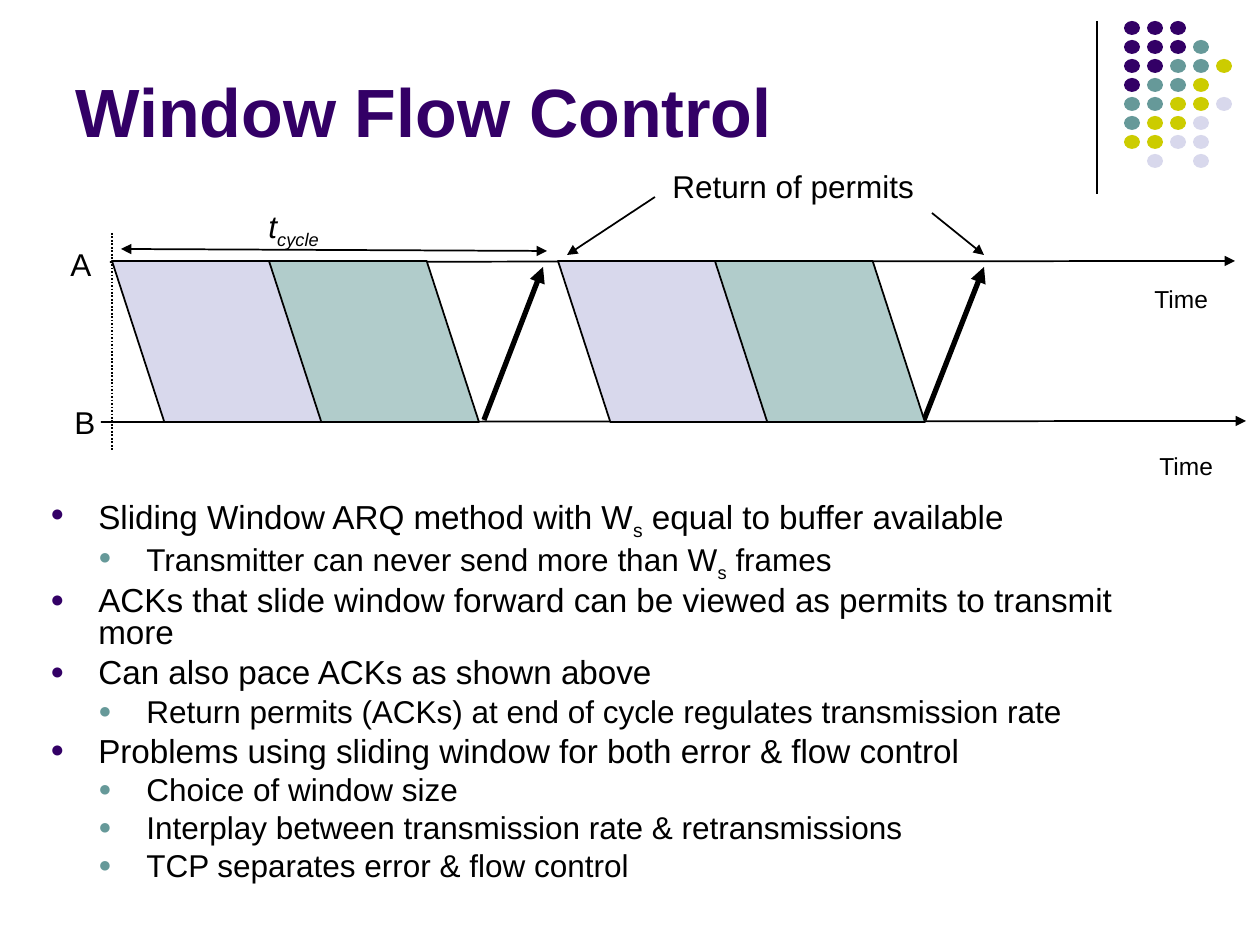
import lxml.etree
import pptx
import pptx.dml.color
import pptx.enum.dml
import pptx.enum.shapes
import pptx.enum.text
import pptx.oxml.ns
import pptx.util

SCALE = 914400 / 126
BLACK, PURPLE, TEAL, OLIVE, LILAC = "000000", "330066", "669999", "CCCC00", "D8D8EC"
PALE_TEAL = "B1CCCB"
colour = pptx.dml.color.RGBColor.from_string
qn = pptx.oxml.ns.qn


def px(*lengths):
    return [round(length * SCALE) for length in lengths]


def add_runs(para, parts, size, ink=BLACK, bold=False, italic=False):
    for index, part in enumerate(parts):
        span = para.add_run()
        span.text = part
        span.font.name = "Arial"
        span.font.size = pptx.util.Pt(size)
        span.font.color.rgb = colour(ink)
        span.font.bold = bold
        span.font.italic = italic
        if index % 2:
            span._r.get_or_add_rPr().set("baseline", "-25000")


deck = pptx.Presentation()
deck.slide_width, deck.slide_height = px(1260, 945)
page = deck.slides.add_slide(deck.slide_layouts[6])

dot_colours = {"P": PURPLE, "T": TEAL, "O": OLIVE, "L": LILAC}
dot_rows = ["PPP", "PPPT", "PPTTO", "PTTO", "TTOOL", "TOOL", "OOLL", " L L"]
for row, letters in enumerate(dot_rows):
    for column, letter in enumerate(letters):
        if letter in dot_colours:
            dot = page.shapes.add_shape(
                pptx.enum.shapes.MSO_SHAPE.OVAL,
                *px(1124 + 23 * column, 21 + 19 * row, 16, 14))
            dot.shadow.inherit = False
            dot.fill.solid()
            dot.fill.fore_color.rgb = colour(dot_colours[letter])
            dot.line.fill.background()

lines = [
    (1097, 21, 1097, 194, 0.75, []),
    (110, 262, 1235, 261, 1, ["tailEnd"]),
    (101, 422, 1246, 421, 1, ["tailEnd"]),
    (112, 233, 112, 451, 1, []),
    (121, 249, 547, 251, 1, ["headEnd", "tailEnd"]),
    (484, 420, 543, 267, 3, ["tailEnd"]),
    (655, 197, 567, 255, 1, ["tailEnd"]),
    (932, 213, 984, 255, 1, ["tailEnd"]),
    (924, 420, 984, 267, 3, ["tailEnd"]),
]
connectors = []
for x1, y1, x2, y2, weight, ends in lines:
    connector = page.shapes.add_connector(
        pptx.enum.shapes.MSO_CONNECTOR.STRAIGHT, *px(x1, y1, x2, y2))
    connector.line.color.rgb = colour(BLACK)
    connector.line.width = pptx.util.Pt(weight)
    for end in ends:
        lxml.etree.SubElement(connector.get_or_add_ln(), qn("a:" + end), type="triangle")
    lxml.etree.SubElement(connector._element.spPr, qn("a:effectLst"))
    connectors.append(connector)
connectors[3].line.dash_style = pptx.enum.dml.MSO_LINE.ROUND_DOT

for cycle_left in (112, 558):
    for index, fill in enumerate((LILAC, PALE_TEAL)):
        frame = page.shapes.add_shape(
            pptx.enum.shapes.MSO_SHAPE.PARALLELOGRAM,
            *px(cycle_left + 157 * index, 261, 210, 161))
        frame.adjustments[0] = 0.325
        frame._element.spPr.xfrm.set("flipH", "1")
        frame.shadow.inherit = False
        frame.fill.solid()
        frame.fill.fore_color.rgb = colour(fill)
        frame.line.color.rgb = colour(BLACK)
        frame.line.width = pptx.util.Pt(1)

labels = [
    (58, 239, 45, 50, ["A"], 18, False),
    (62, 397, 45, 50, ["B"], 18, False),
    (256, 201, 121, 47, ["t", "cycle"], 18, True),
    (660, 161, 267, 50, ["Return of permits"], 18, False),
    (1142, 278, 79, 43, ["Time"], 14, False),
    (1147, 445, 79, 43, ["Time"], 14, False),
]
for left, top, width, height, parts, size, italic in labels:
    box = page.shapes.add_textbox(*px(left, top, width, height))
    box.text_frame.word_wrap = False
    add_runs(box.text_frame.paragraphs[0], parts, size, italic=italic)

title = page.shapes.add_textbox(*px(63, 16, 1040, 141))
title.text_frame.word_wrap = True
title.text_frame.vertical_anchor = pptx.enum.text.MSO_ANCHOR.BOTTOM
add_runs(title.text_frame.paragraphs[0], ["Window Flow Control"], 39, PURPLE, bold=True)

points = [
    (0, ["Sliding Window ARQ method with W", "s", " equal to buffer available"]),
    (1, ["Transmitter can never send more than W", "s", " frames"]),
    (0, ["ACKs that slide window forward can be viewed as permits to transmit more"]),
    (0, ["Can also pace ACKs as shown above"]),
    (1, ["Return permits (ACKs) at end of cycle regulates transmission rate"]),
    (0, ["Problems using sliding window for both error & flow control"]),
    (1, ["Choice of window size"]),
    (1, ["Interplay between transmission rate & retransmissions"]),
    (1, ["TCP separates error & flow control"]),
]
body = page.shapes.add_textbox(*px(38, 494, 1159, 399))
body.text_frame.word_wrap = True
indent = px(48)[0]
for index, (level, parts) in enumerate(points):
    para = body.text_frame.add_paragraph() if index else body.text_frame.paragraphs[0]
    para.level = level
    para.line_spacing = 0.8
    if index:
        para.space_before = pptx.util.Pt((4.8, 4.5)[level])
    settings = para._p.get_or_add_pPr()
    settings.set("marL", str(indent * (level + 1)))
    settings.set("indent", str(-indent))
    bullet_colour = lxml.etree.SubElement(settings, qn("a:buClr"))
    lxml.etree.SubElement(bullet_colour, qn("a:srgbClr"), val=(PURPLE, TEAL)[level])
    lxml.etree.SubElement(settings, qn("a:buSzPct"), val="70000")
    lxml.etree.SubElement(settings, qn("a:buFont"), typeface="Arial")
    lxml.etree.SubElement(settings, qn("a:buChar"), char="●")
    add_runs(para, parts, (19, 18)[level])

deck.save("out.pptx")
